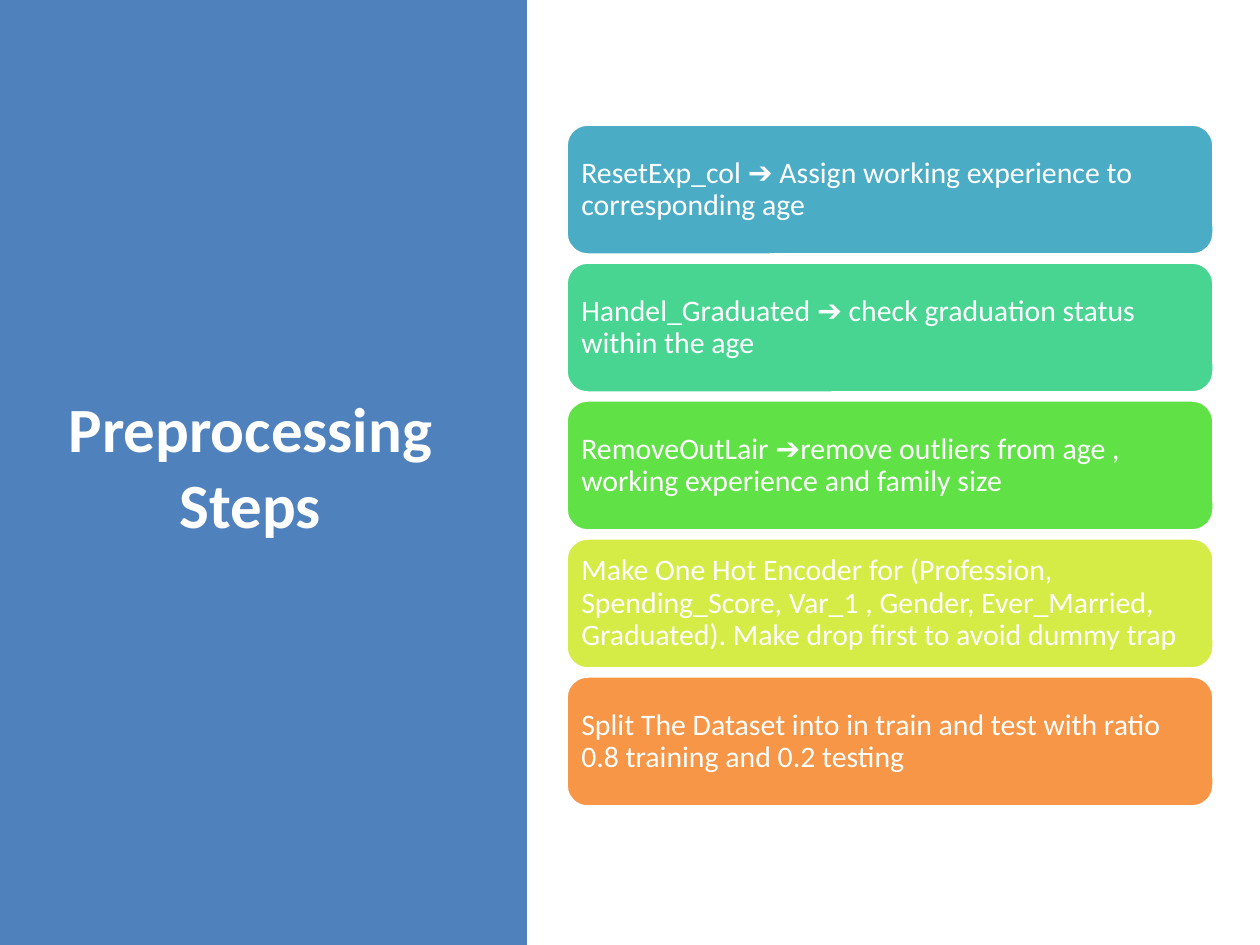
from dataclasses import dataclass

from pptx import Presentation
from pptx.dml.color import RGBColor
from pptx.enum.shapes import MSO_SHAPE
from pptx.enum.text import MSO_ANCHOR, MSO_AUTO_SIZE, PP_ALIGN
from pptx.util import Emu, Pt

PIXELS_PER_INCH = 126
SLIDE_WIDTH, SLIDE_HEIGHT = 1260, 945
PANEL_WIDTH = 527
CARD_LEFT, CARD_TOP = 566, 124
CARD_WIDTH, CARD_HEIGHT, CARD_GAP = 648, 131, 7
CARD_INSET = 9
FONT = "Calibri"
COLORS = {
    "white": "FFFFFF",
    "blue": "4F81BD",
    "teal": "4BACC6",
    "mint": "48D491",
    "green": "60E146",
    "lime": "D5EC46",
    "orange": "F79646",
}


@dataclass
class Step:
    text: str
    color: str


STEPS = [
    Step("ResetExp_col ➔ Assign working experience to corresponding age", "teal"),
    Step("Handel_Graduated ➔ check graduation status within the age", "mint"),
    Step("RemoveOutLair ➔remove outliers from age , working experience and family size", "green"),
    Step("Make One Hot Encoder for (Profession, Spending_Score, Var_1 , Gender, "
         "Ever_Married, Graduated). Make drop first to avoid dummy trap", "lime"),
    Step("Split The Dataset into in train and test with ratio 0.8 training and 0.2 testing",
         "orange"),
]


def px(pixels: int) -> Emu:
    return Emu(round(pixels * 914400 / PIXELS_PER_INCH))


def rgb(name: str) -> RGBColor:
    return RGBColor.from_string(COLORS[name])


def write_text(shape, text: str, *, size: int, bold: bool = False,
               align=PP_ALIGN.LEFT, line_spacing: float = 1.0) -> None:
    frame = shape.text_frame
    frame.word_wrap = True
    frame.auto_size = MSO_AUTO_SIZE.NONE
    frame.vertical_anchor = MSO_ANCHOR.MIDDLE
    paragraph = frame.paragraphs[0]
    paragraph.alignment = align
    paragraph.line_spacing = line_spacing
    run = paragraph.add_run()
    run.text = text
    run.font.name = FONT
    run.font.size = Pt(size)
    run.font.bold = bold
    run.font.color.rgb = rgb("white")


def add_block(slide, kind, left: int, top: int, width: int, height: int, color: str):
    shape = slide.shapes.add_shape(kind, px(left), px(top), px(width), px(height))
    shape.shadow.inherit = False
    shape.fill.solid()
    shape.fill.fore_color.rgb = rgb(color)
    shape.line.fill.background()
    return shape


def add_step(slide, index: int, step: Step) -> None:
    top = CARD_TOP + index * (CARD_HEIGHT + CARD_GAP)
    card = add_block(slide, MSO_SHAPE.ROUNDED_RECTANGLE,
                     CARD_LEFT, top, CARD_WIDTH, CARD_HEIGHT, step.color)
    card.line.color.rgb = rgb("white")
    card.line.width = Pt(2)
    frame = card.text_frame
    frame.margin_left = frame.margin_right = px(CARD_INSET)
    frame.margin_top = frame.margin_bottom = px(CARD_INSET)
    write_text(card, step.text, size=17, line_spacing=0.9)


presentation = Presentation()
presentation.slide_width = px(SLIDE_WIDTH)
presentation.slide_height = px(SLIDE_HEIGHT)
slide = presentation.slides.add_slide(presentation.slide_layouts[5])

# Side panel, with the title in front of it
panel = add_block(slide, MSO_SHAPE.RECTANGLE, 0, 0, PANEL_WIDTH, SLIDE_HEIGHT, "blue")
title = slide.shapes.title
panel.element.addnext(title.element)
title.left, title.top, title.width, title.height = px(54), px(86), px(393), px(758)
write_text(title, "Preprocessing Steps", size=36, bold=True, align=PP_ALIGN.CENTER)

# Step cards
for index, step in enumerate(STEPS):
    add_step(slide, index, step)

presentation.save("out.pptx")
